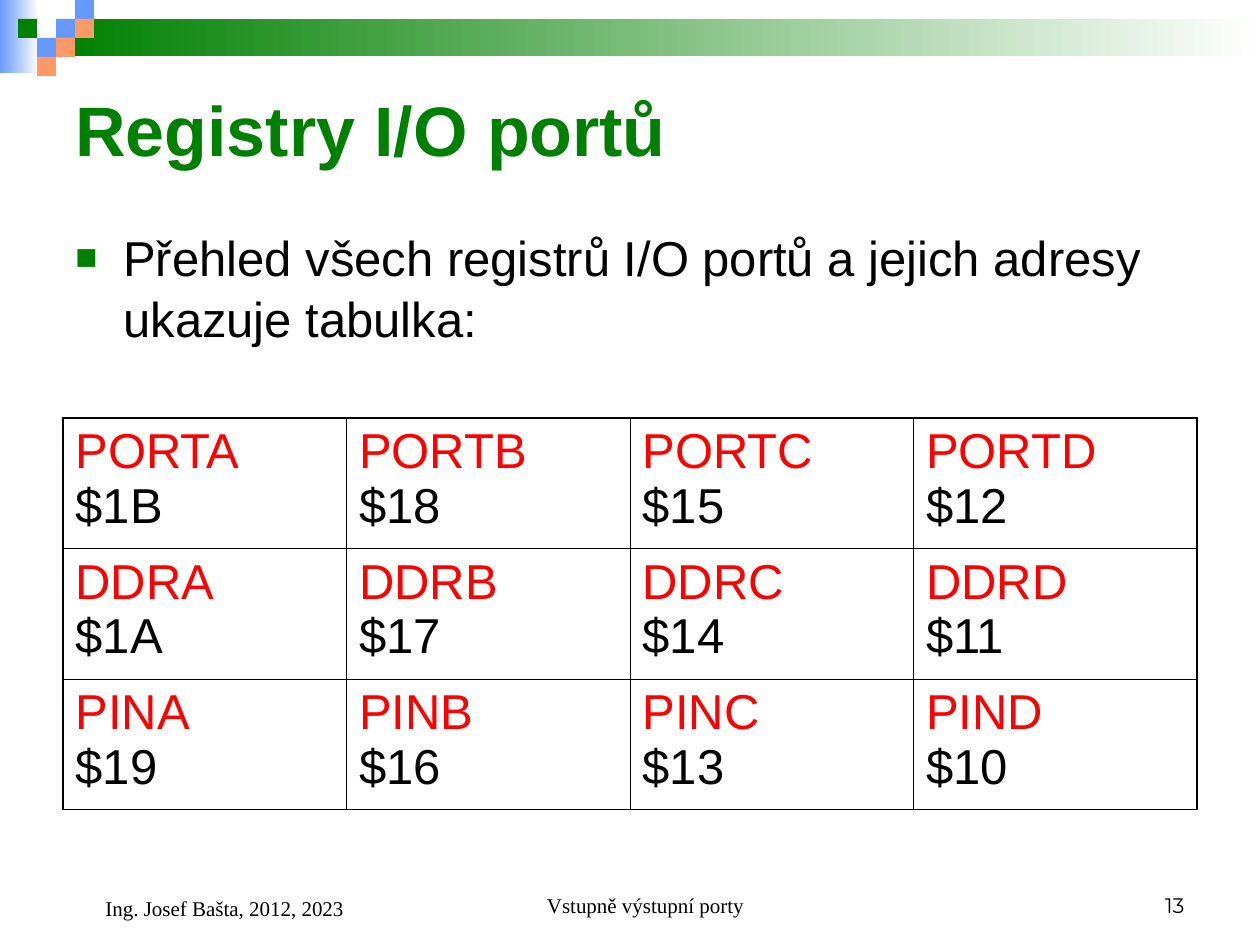
from dataclasses import dataclass

from lxml import etree
from pptx import Presentation
from pptx.dml.color import RGBColor
from pptx.enum.shapes import MSO_SHAPE
from pptx.enum.text import MSO_ANCHOR, PP_ALIGN
from pptx.oxml.ns import qn
from pptx.util import Pt

RECT = MSO_SHAPE.RECTANGLE
TOP, MIDDLE, BOTTOM = MSO_ANCHOR.TOP, MSO_ANCHOR.MIDDLE, MSO_ANCHOR.BOTTOM
LEFT, CENTER, RIGHT = PP_ALIGN.LEFT, PP_ALIGN.CENTER, PP_ALIGN.RIGHT
EMU_PER_PX = 914400 / 126


def px(n):
    return round(n * EMU_PER_PX)


@dataclass(frozen=True)
class Theme:
    white: str = "FFFFFF"
    black: str = "000000"
    green: str = "008000"
    blue: str = "6699FF"
    orange: str = "FF9966"
    red: str = "FF0000"
    sans: str = "Arial"
    serif: str = "Times New Roman"
    number: str = "Montserrat"
    title: int = 40
    body: int = 28
    footer: int = 12
    outer_line: float = 1.08
    inner_line: float = 0.45


class Deck:
    def __init__(self, theme):
        self.theme = theme
        self.prs = Presentation()
        self.prs.slide_width, self.prs.slide_height = px(1260), px(945)
        self.s = self.prs.slides.add_slide(self.prs.slide_layouts[6])

    def rect(self, x, y, w, h, color, fade=False):
        sp = self.s.shapes.add_shape(RECT, px(x), px(y), px(w), px(h))
        sp.shadow.inherit = False
        sp.line.fill.background()
        if fade:
            sp.fill.gradient()
            sp.fill.gradient_angle = 0
            for stop, c in zip(sp.fill.gradient_stops, (color, self.theme.white)):
                stop.color.rgb = RGBColor.from_string(c)
            sp.fill.gradient_stops[0].position = 0
            sp.fill.gradient_stops[1].position = 1
        else:
            sp.fill.solid()
            sp.fill.fore_color.rgb = RGBColor.from_string(color)

    def run(self, p, text, size, font, color, bold=False):
        r = p.add_run()
        r.text = text
        r.font.size, r.font.name, r.font.bold = Pt(size), font, bold
        r.font.color.rgb = RGBColor.from_string(color)

    def text(self, x, y, w, h, text, size, font, color=None, bold=False,
             anchor=BOTTOM, align=LEFT, indent=0):
        tf = self.s.shapes.add_textbox(px(x), px(y), px(w), px(h)).text_frame
        tf.word_wrap = True
        tf.vertical_anchor = anchor
        p = tf.paragraphs[0]
        p.alignment = align
        if indent:
            p._p.get_or_add_pPr().set("marL", str(px(indent)))
        self.run(p, text, size, font, color or self.theme.black, bold)
        return p

    def bullet(self, p, hang, color, percent):
        pPr = p._p.get_or_add_pPr()
        pPr.set("marL", str(px(hang)))
        pPr.set("indent", str(-px(hang)))
        clr = etree.SubElement(pPr, qn("a:buClr"))
        etree.SubElement(clr, qn("a:srgbClr"), val=color)
        etree.SubElement(pPr, qn("a:buSzPct"), val=str(percent * 1000))
        etree.SubElement(pPr, qn("a:buFont"), typeface=self.theme.sans)
        etree.SubElement(pPr, qn("a:buChar"), char="■")

    def border(self, cell, side, width):
        ln = etree.Element(qn(f"a:ln{side}"), w=str(Pt(width)))
        fill = etree.SubElement(ln, qn("a:solidFill"))
        etree.SubElement(fill, qn("a:srgbClr"), val=self.theme.black)
        return ln

    def table(self, x, y, col_w, row_h, rows):
        t = self.theme
        n_rows, n_cols = len(rows), len(rows[0])
        table = self.s.shapes.add_table(n_rows, n_cols, px(x), px(y),
                                        px(col_w * n_cols), px(row_h * n_rows)).table
        table.first_row = table.horz_banding = False
        for col in table.columns:
            col.width = px(col_w)
        for i, row in enumerate(rows):
            table.rows[i].height = px(row_h)
            for j, (name, address) in enumerate(row):
                cell = table.cell(i, j)
                p = cell.text_frame.paragraphs[0]
                self.run(p, name, t.body, t.sans, t.red)
                p.add_line_break()
                self.run(p, address, t.body, t.sans, t.black)
                cell.fill.background()
                outer = {"L": j == 0, "R": j == n_cols - 1,
                         "T": i == 0, "B": i == n_rows - 1}
                tcPr = cell._tc.get_or_add_tcPr()
                for k, (side, edge) in enumerate(outer.items()):
                    width = t.outer_line if edge else t.inner_line
                    tcPr.insert(k, self.border(cell, side, width))


def main():
    t = Theme()
    deck = Deck(t)

    # Header band and its checkered squares
    deck.rect(0, 0, 39, 73, t.blue, fade=True)
    deck.rect(57, 19, 1203, 37, t.green, fade=True)
    squares = [(3, 1, t.blue), (4, 0, t.blue), (4, 1, t.orange), (2, 2, t.blue),
               (1, 1, t.green), (3, 2, t.orange), (2, 3, t.orange)]
    unit = 19
    for col, row, color in squares:
        deck.rect(col * unit - 1, row * unit, unit, unit, color)

    # Title and introduction
    deck.text(63, 63, 1134, 130, "Registry I/O portů", t.title, t.sans,
              t.green, bold=True, anchor=MIDDLE)
    p = deck.text(63, 218, 1134, 142,
                  "Přehled všech registrů I/O portů a jejich adresy ukazuje tabulka:",
                  t.body, t.sans, anchor=TOP)
    p.line_spacing = 1.05
    deck.bullet(p, 48, t.green, 75)

    # Register names and addresses, one column per port
    addresses = {"PORT": ("$1B", "$18", "$15", "$12"),
                 "DDR": ("$1A", "$17", "$14", "$11"),
                 "PIN": ("$19", "$16", "$13", "$10")}
    rows = [[(kind + port, a) for port, a in zip("ABCD", values)]
            for kind, values in addresses.items()]
    deck.table(63, 418, 283.5, 130.5, rows)

    # Footer
    deck.text(431, 861, 399, 63, "Vstupně výstupní porty", t.footer, t.serif,
              align=CENTER, indent=30)
    deck.text(903, 861, 294, 63, "13", t.footer, t.number, align=RIGHT)
    deck.text(63, 861, 294, 66, "Ing. Josef Bašta, 2012, 2023", t.footer, t.serif,
              indent=30)

    deck.prs.save("out.pptx")


if __name__ == "__main__":
    main()
